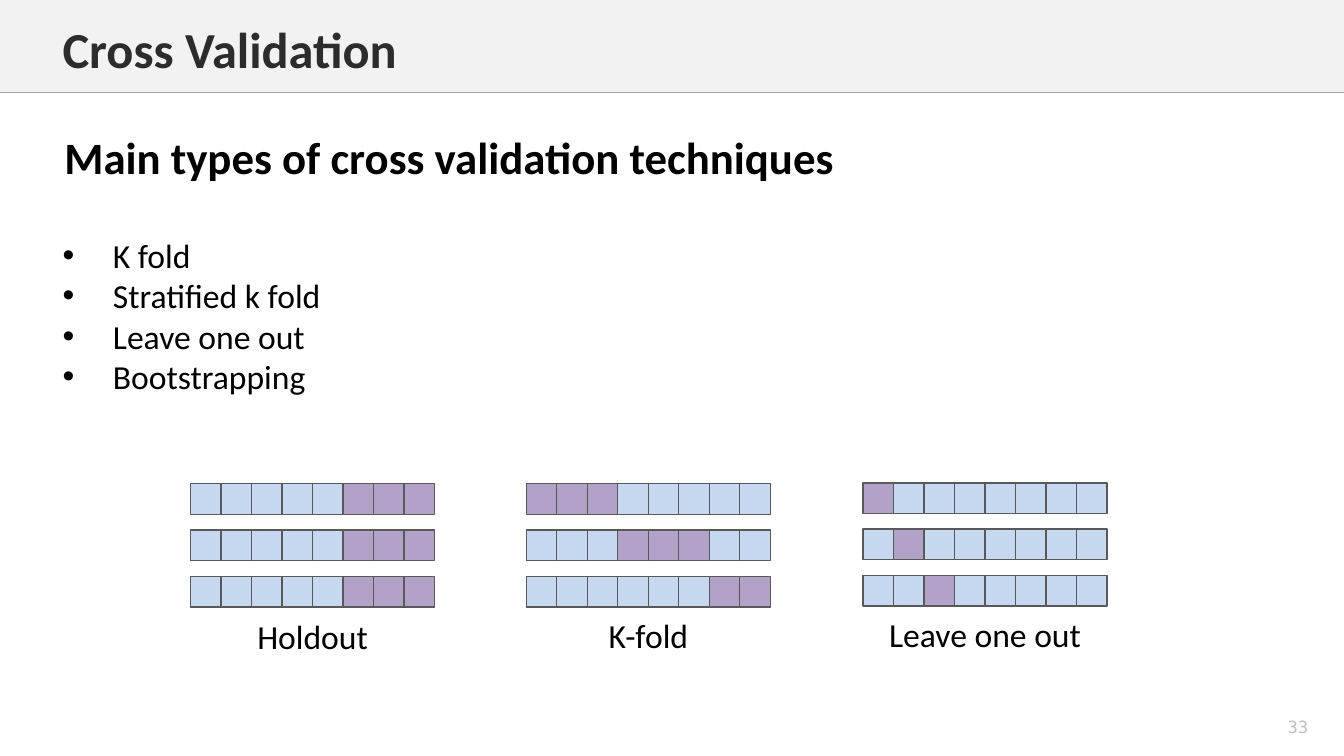
from lxml import etree
from pptx import Presentation
from pptx.dml.color import RGBColor
from pptx.enum.shapes import MSO_CONNECTOR, MSO_SHAPE
from pptx.enum.text import MSO_ANCHOR, MSO_AUTO_SIZE, PP_ALIGN
from pptx.oxml.ns import qn
from pptx.util import Inches, Pt

RECT = MSO_SHAPE.RECTANGLE
STRAIGHT = MSO_CONNECTOR.STRAIGHT
TOP, MIDDLE = MSO_ANCHOR.TOP, MSO_ANCHOR.MIDDLE
LEFT, CENTER = PP_ALIGN.LEFT, PP_ALIGN.CENTER
NO_FIT = MSO_AUTO_SIZE.NONE

COLORS = {
    "band": "F2F2F2", "rule": "A6A6A6", "title": "2C2C2C", "text": "000000",
    "number": "BFBFBF", "train": "C6D9F1", "test": "B3A2C7", "edge": "595959",
}
FONT = "Calibri"
NUMBER_FONT = "DejaVu Sans Mono"
CELLS = 8
ROW_PITCH = 0.46
TECHNIQUES = ["K fold", "Stratified k fold", "Leave one out", "Bootstrapping"]
SPLITS = [
    ("Holdout", 1.89, 4.8, 6.06, [range(5, 8)] * 3),
    ("K-fold", 5.22, 4.8, 6.05, [range(0, 3), range(3, 6), range(6, 8)]),
    ("Leave one out", 8.56, 4.79, 6.04, [range(i, i + 1) for i in range(3)]),
]


def rgb(name):
    """Return the named colour."""
    return RGBColor.from_string(COLORS[name])


def place(sp, x, y, w, h):
    """Move and size a shape, in inches."""
    sp.left, sp.top, sp.width, sp.height = map(Inches, (x, y, w, h))


def write(sp, lines, size, color="text", bold=False, align=LEFT, anchor=TOP,
          font=FONT):
    """Fill a shape with one paragraph per line and return the paragraphs."""
    tf = sp.text_frame
    tf.word_wrap = True
    tf.auto_size = NO_FIT
    tf.vertical_anchor = anchor
    for i, line in enumerate(lines):
        p = tf.add_paragraph() if i else tf.paragraphs[0]
        p.alignment = align
        p.space_before = Pt(0)
        r = p.add_run()
        r.text = line
        r.font.name = font
        r.font.size = Pt(size)
        r.font.bold = bold
        r.font.color.rgb = rgb(color)
    return tf.paragraphs


def add_text(s, box, line, size, **style):
    """Add a one-line text box."""
    sp = s.shapes.add_textbox(*map(Inches, box))
    write(sp, [line], size, **style)


def add_rect(shapes, box, fill):
    """Add a flat filled rectangle without an outline."""
    sp = shapes.add_shape(RECT, *map(Inches, box))
    sp.shadow.inherit = False
    sp.fill.solid()
    sp.fill.fore_color.rgb = rgb(fill)
    sp.line.fill.background()
    return sp


def add_header(s, x, y, w, h):
    """Build the title band with its rule and title."""
    band = add_rect(s.shapes, (x, y, w, h), "band")
    s.shapes._spTree.insert(2, band._element)
    rule = s.shapes.add_connector(
        STRAIGHT, *map(Inches, (x, y + h, x + w, y + h)))
    rule.line.color.rgb = rgb("rule")
    rule.line.width = Pt(1)
    etree.SubElement(rule._element.spPr, qn("a:effectLst"))
    place(s.shapes.title, x + 0.52, y + 0.12, 11.89, 0.71)
    write(s.shapes.title, ["Cross Validation"], 36, "title", True,
          anchor=MIDDLE)


def add_techniques(s, x, y, w, h):
    """Build the bulleted list of techniques."""
    body = s.placeholders[1]
    place(body, x, y, w, h)
    for p in write(body, TECHNIQUES, 24):
        pPr = p._p.get_or_add_pPr()
        pPr.set("marL", str(Inches(0.5)))
        pPr.set("indent", str(Inches(-0.5)))
        etree.SubElement(pPr, qn("a:buFont")).set("typeface", "Arial")
        etree.SubElement(pPr, qn("a:buChar")).set("char", "•")


def add_split(s, x, y, w, label_y, label, test_rows):
    """Build one diagram of train and test cells with its label."""
    group = s.shapes.add_group_shape()
    cell = w / CELLS
    for row, test in enumerate(test_rows):
        for col in range(CELLS):
            box = (x + col * cell, y + row * ROW_PITCH, cell, cell)
            sp = add_rect(group.shapes, box, "test" if col in test else "train")
            sp.line.color.rgb = rgb("edge")
            sp.line.width = Pt(1)
    add_text(s, (x, label_y, w, 0.5), label, 24, align=CENTER)


def main():
    """Build and save the slide."""
    prs = Presentation()
    prs.slide_width, prs.slide_height = Inches(13.33), Inches(7.5)
    s = prs.slides.add_slide(prs.slide_layouts[1])
    add_header(s, 0, 0, 13.33, 0.92)
    add_text(s, (0.54, 1.24, 8.64, 0.64),
             "Main types of cross validation techniques", 32, bold=True)
    add_techniques(s, 0.52, 2.28, 3.78, 1.72)
    for label, x, y, label_y, test_rows in SPLITS:
        add_split(s, x, y, 2.42, label_y, label, test_rows)
    add_text(s, (12.44, 7.06, 0.87, 0.31), "33", 12, color="number",
             align=CENTER, anchor=MIDDLE, font=NUMBER_FONT)
    prs.save("out.pptx")


if __name__ == "__main__":
    main()
